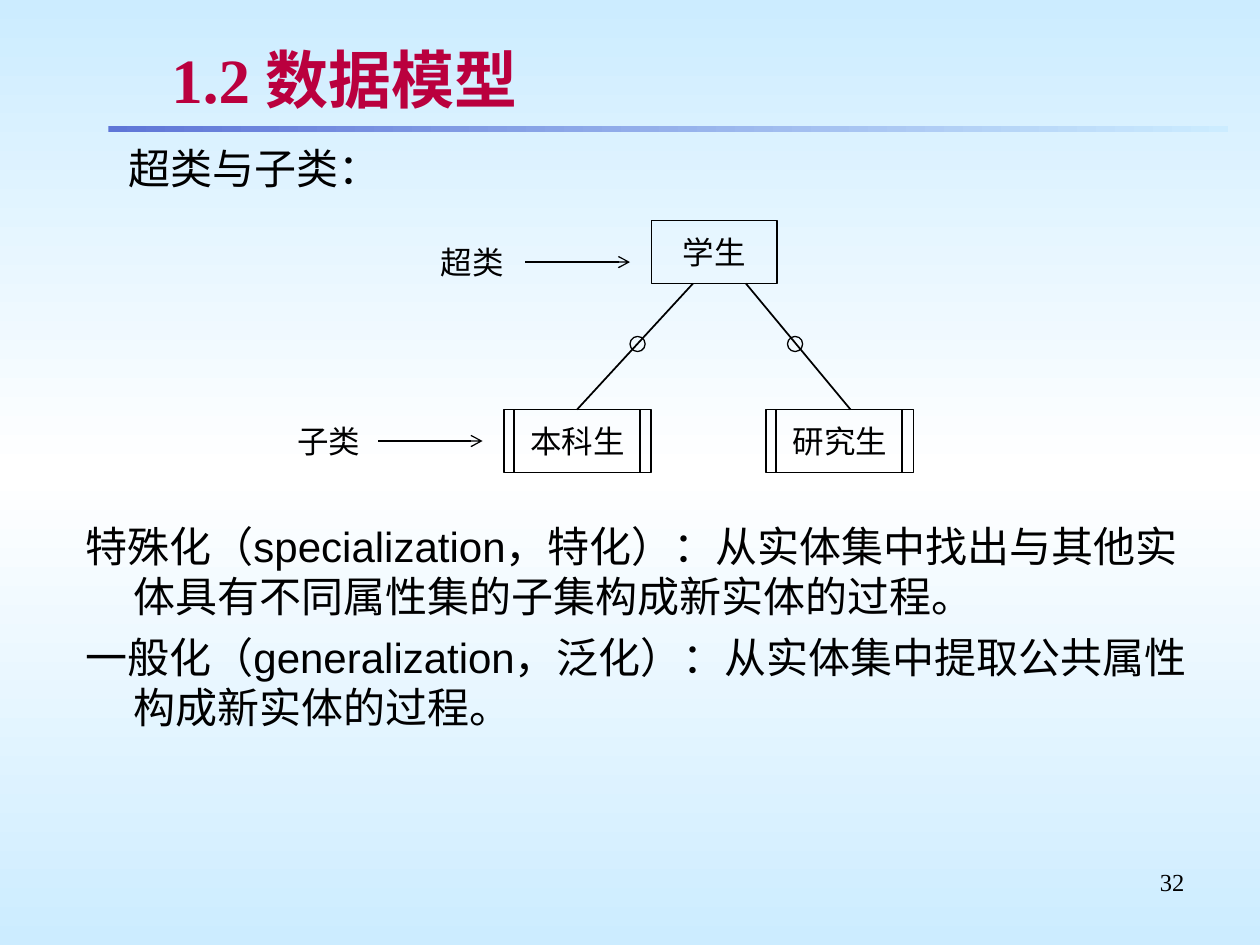
from lxml import etree
from pptx import Presentation
from pptx import util as u
from pptx.dml.color import RGBColor
from pptx.enum import shapes, text
from pptx.oxml.ns import qn

INK = {"black": "000000", "title": "BA003E", "sky": "CCECFF",
       "white": "FFFFFF", "rule": "5F76D7", "shade": "C0C0C0"}
LEFT, MID, RIGHT = text.PP_ALIGN.LEFT, text.PP_ALIGN.CENTER, text.PP_ALIGN.RIGHT
RECT, OVAL = shapes.MSO_SHAPE.RECTANGLE, shapes.MSO_SHAPE.OVAL


def hue(name):
    """Return a palette colour."""
    return RGBColor.from_string(INK[name])


def sub(node, tag, **attrs):
    """Append a child element with attributes."""
    return etree.SubElement(node, qn(tag), {k: str(v) for k, v in attrs.items()})


def blend(fill, root, names, angle):
    """Fill with evenly spaced gradient stops at an angle."""
    fill.gradient()
    grad = root.find(".//" + qn("a:gradFill"))
    for child in list(grad):
        grad.remove(child)
    stops = sub(grad, "a:gsLst")
    for i, name in enumerate(names):
        stop = sub(stops, "a:gs", pos=100000 * i // (len(names) - 1))
        sub(stop, "a:srgbClr", val=INK[name])
    sub(grad, "a:lin", ang=angle * 60000, scaled=0)


def write(shape, *lines, size=18, font="Arial", color="black", bold=False,
          align=LEFT, anchor=text.MSO_ANCHOR.TOP, wrap=True,
          left=0, hang=0, gap=0):
    """Write formatted paragraphs into a shape."""
    frame = shape.text_frame
    frame.word_wrap = wrap
    frame.auto_size = text.MSO_AUTO_SIZE.NONE
    frame.vertical_anchor = anchor
    frame.text = "\n".join(lines)
    for i, par in enumerate(frame.paragraphs):
        par.alignment = align
        par.space_before = u.Pt(gap if i else 0)
        props = par._p.get_or_add_pPr()
        props.set("marL", str(u.Inches(left)))
        props.set("indent", str(u.Inches(-hang)))
        for run in par.runs:
            run.font.size, run.font.name = u.Pt(size), font
            run.font.bold = bold
            run.font.color.rgb = hue(color)
    return shape


def place(x, y, w, h):
    """Convert a box in inches to lengths."""
    return [u.Inches(v) for v in (x, y, w, h)]


def label(slide, box, *lines, **style):
    """Add a text box."""
    return write(slide.shapes.add_textbox(*place(*box)), *lines, **style)


def shape(slide, kind, box, width=1):
    """Add a hollow outlined shape."""
    item = slide.shapes.add_shape(kind, *place(*box))
    item.shadow.inherit = False
    item.fill.background()
    item.line.color.rgb = hue("black")
    item.line.width = u.Pt(width)
    return item


def line(slide, x1, y1, x2, y2, width=1, arrow=False):
    """Add a straight line, with an arrowhead on request."""
    item = slide.shapes.add_connector(
        shapes.MSO_CONNECTOR.STRAIGHT, *place(x1, y1, x2, y2))
    item.line.color.rgb = hue("black")
    item.line.width = u.Pt(width)
    if arrow:
        sub(item.line._get_or_add_ln(), "a:tailEnd", type="arrow")
    sub(item._element.spPr, "a:effectLst")


def head(slide, box):
    """Place the title and the rule beneath it."""
    x, y, w, h = box
    title = slide.shapes.title
    title.left, title.top, title.width, title.height = place(x + .4, y, w - .65, h)
    write(title, "1.2 数据模型", size=36, font="Times New Roman",
          color="title", bold=True, anchor=text.MSO_ANCHOR.MIDDLE)
    props = title.text_frame.paragraphs[0].runs[0].font._element
    glow = etree.Element(qn("a:effectLst"))
    props.find(qn("a:solidFill")).addnext(glow)
    shade = sub(glow, "a:outerShdw", dist=25400, dir=2700000)
    sub(shade, "a:srgbClr", val=INK["shade"])
    bar = shape(slide, RECT, (x, y + .71, w, .05))
    bar.line.fill.background()
    blend(bar.fill, bar._element, ["rule", "sky"], 0)


def chart(slide, box):
    """Draw the superclass above its two subclasses."""
    x, y, w, h = box
    style = dict(align=MID, anchor=text.MSO_ANCHOR.MIDDLE, wrap=False)
    tall, low = .5, y + h - .5
    top = x + 3.09
    write(shape(slide, RECT, (top, y, 1, tall)), "学生", **style)
    kids = [("本科生", x + 1.92, top + .33, x + 2.5, x + 2.92),
            ("研究生", x + 4, top + .75, x + 4.67, x + 4.17)]
    for name, left, start, end, ring in kids:
        write(shape(slide, RECT, (left, low, 1.17, tall)), name, **style)
        for side in (left + .08, left + 1.08):
            line(slide, side, low, side, low + tall)
        line(slide, start, y + tall, end, low)
        shape(slide, OVAL, (ring, y + .92, .12, .12), .75)
    notes = [("超类", x + 1.17, y + .08, x + 2.09, y + .33),
             ("子类", x + .03, low, x + .92, low + .25)]
    for name, left, up, start, mid in notes:
        label(slide, (left, up, 1, tall), name, **style)
        line(slide, start, mid, start + .83, mid, .75, True)


def terms(slide, box):
    """Place the two definitions."""
    label(slide, box,
          "特殊化（specialization，特化）：从实体集中找出与其他实体具有不同属性集的子集构成新实体的过程。",
          "一般化（generalization，泛化）：从实体集中提取公共属性构成新实体的过程。",
          size=24, left=.38, hang=.38, gap=6)


def main():
    """Build and save the slide."""
    deck = Presentation()
    deck.slide_width, deck.slide_height = u.Inches(10), u.Inches(7.5)
    slide = deck.slides.add_slide(deck.slide_layouts[5])
    blend(slide.background.fill, slide._element, ["sky", "white", "sky"], 90)
    head(slide, (.86, .29, 8.89, .67))
    label(slide, (.42, 1.08, 9.25, .6), "超类与子类：", size=24,
          font="Times New Roman", left=.81, hang=.31)
    chart(slide, (2.08, 1.75, 5.17, 2))
    terms(slide, (.58, 4.08, 9.17, 2.33))
    label(slide, (7.17, 6.83, 2.33, .52), "32", size=14,
          font="Times New Roman", align=RIGHT)
    deck.save("out.pptx")


if __name__ == "__main__":
    main()
